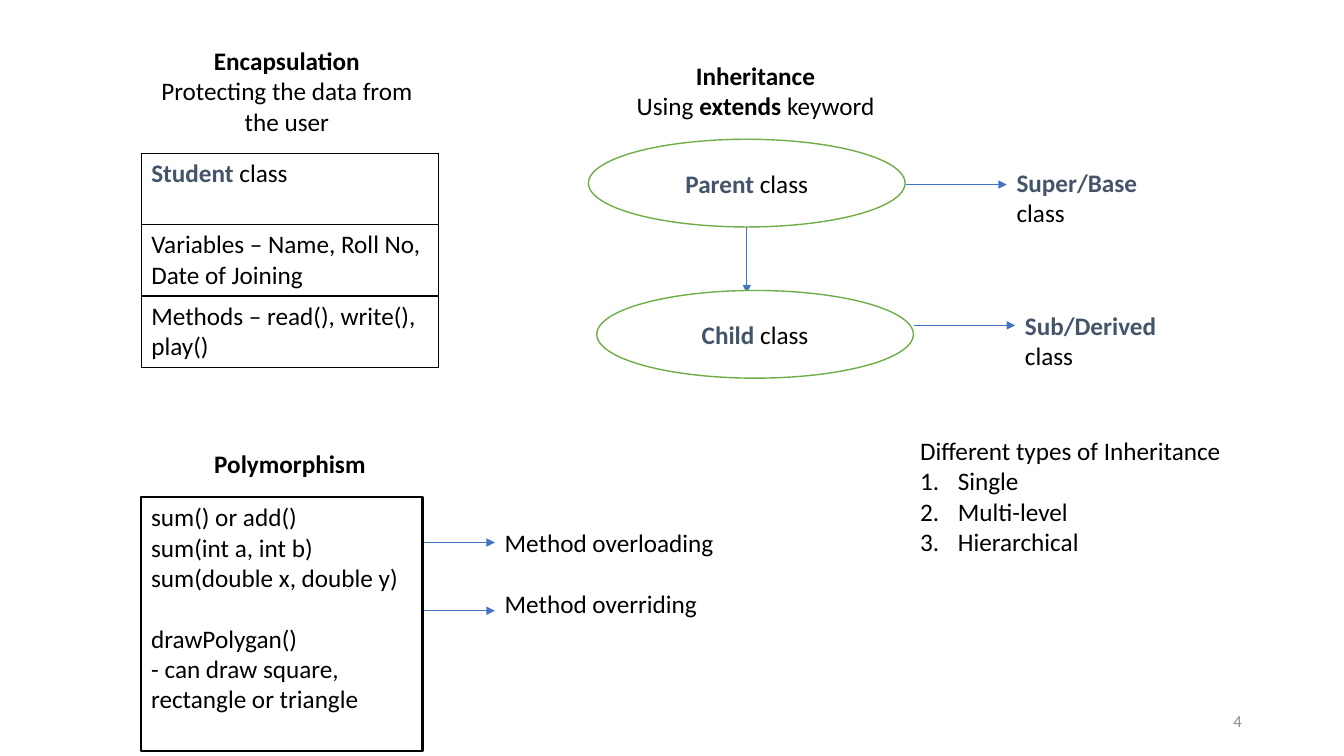
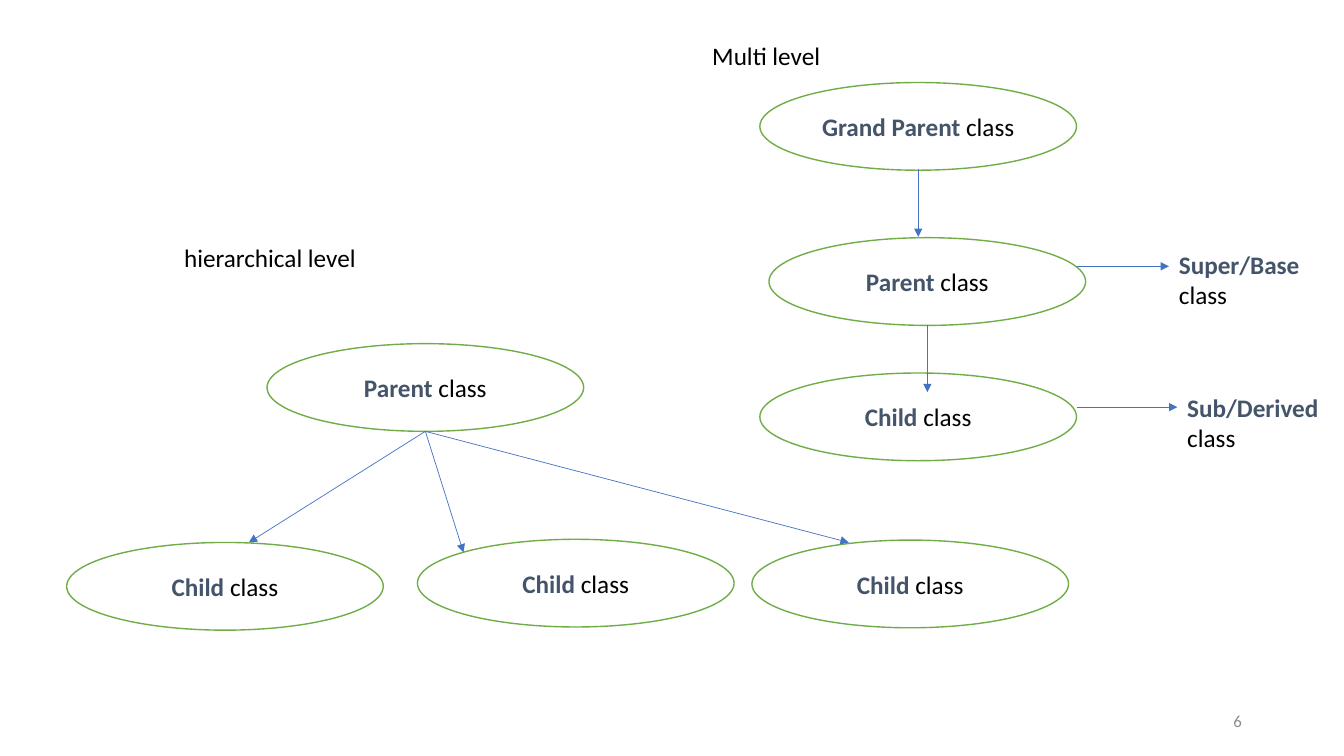
from lxml import etree
from pptx import Presentation
from pptx.dml.color import RGBColor
from pptx.enum.shapes import MSO_CONNECTOR, MSO_SHAPE
from pptx.enum.text import MSO_ANCHOR, PP_ALIGN
from pptx.oxml.ns import qn
from pptx.util import Cm, Pt

BLACK = RGBColor(0x00, 0x00, 0x00)
WHITE = RGBColor(0xFF, 0xFF, 0xFF)
SLATE = RGBColor(0x44, 0x54, 0x6A)
GREEN = RGBColor(0x70, 0xAD, 0x47)
BLUE = RGBColor(0x44, 0x72, 0xC4)
GRAY = RGBColor(0x8C, 0x8C, 0x8C)

STRAIGHT = MSO_CONNECTOR.STRAIGHT
OVAL = MSO_SHAPE.OVAL
RECTANGLE = MSO_SHAPE.RECTANGLE
LEFT, CENTER, RIGHT = PP_ALIGN.LEFT, PP_ALIGN.CENTER, PP_ALIGN.RIGHT
TOP, MIDDLE = MSO_ANCHOR.TOP, MSO_ANCHOR.MIDDLE

FONT = "Calibri"
BODY_SIZE = 18
NUMBER_SIZE = 12
LINE_GAP = Pt(22)
LIST_INDENT = Cm(0.95)
OVAL_WIDTH, OVAL_HEIGHT = 7.98, 2.21
NUMBER_BOX = (23.93, 17.65, 7.62, 1.02)
ROW_HEIGHT = 1.8
TABLE_PLACE = (3.56, 3.86, 7.49)
METHOD_BOX = (3.56, 12.52, 7.09, 6.4)


def plain(text):
    return [(text, False, BLACK)]


def bold(text):
    return [(text, True, BLACK)]


def class_name(name):
    return [(name, True, SLATE), (" class", False, BLACK)]


STUDENT_ROWS = [
    class_name("Student"),
    plain("Variables – Name, Roll No, Date of Joining"),
    plain("Methods – read(), write(), play()"),
]
METHODS = [
    plain("sum() or add()"),
    plain("sum(int a, int b)"),
    plain("sum(double x, double y)"),
    plain("drawPolygan()"),
    plain("- can draw square, rectangle or triangle"),
]
INHERITANCE_TYPES = [
    plain("Different types of Inheritance"),
    plain("Single"),
    plain("Multi-level"),
    plain("Hierarchical"),
]
ENCAPSULATION = [bold("Encapsulation"), plain("Protecting the data from the user")]
INHERITANCE = [
    bold("Inheritance"),
    plain("Using ") + bold("extends ") + plain("keyword"),
]
POLYMORPHISM = [bold("Polymorphism ")]
METHOD_KINDS = [plain("Method overloading"), plain("Method overriding")]

OVERVIEW_DIAGRAM = [
    ("oval", 14.83, 3.51, "Parent"),
    ("arrow", 18.82, 5.72, 18.82, 7.39),
    ("oval", 15.04, 7.32, "Child"),
    ("arrow", 22.83, 4.65, 25.37, 4.65),
    ("role", 25.37, 4.09, 3.63, "Super/Base"),
    ("role", 25.58, 7.7, 4.19, "Sub/Derived"),
    ("arrow", 23.04, 8.2, 25.58, 8.2),
    ("arrow", 10.64, 13.67, 12.47, 13.67),
    ("arrow", 10.64, 15.39, 12.47, 15.39),
]
LEVELS_DIAGRAM = [
    ("caption", 17.7, 0.89, "Multi level"),
    ("oval", 19.15, 2.08, "Grand Parent"),
    ("arrow", 23.14, 4.27, 23.14, 5.97),
    ("oval", 19.15, 9.4, "Child"),
    ("arrow", 26.92, 6.71, 29.46, 6.71),
    ("role", 29.46, 6.15, 3.63, "Super/Base"),
    ("role", 29.67, 9.75, 4.19, "Sub/Derived"),
    ("arrow", 27.13, 10.26, 29.67, 10.26),
    ("oval", 19.38, 5.99, "Parent"),
    ("arrow", 23.37, 8.2, 23.37, 9.88),
    ("caption", 4.39, 5.99, "hierarchical level"),
    ("oval", 6.73, 8.66, "Parent"),
    ("oval", 1.68, 13.67, "Child"),
    ("oval", 10.52, 13.59, "Child"),
    ("oval", 18.95, 13.61, "Child"),
    ("arrow", 10.72, 10.87, 6.27, 13.67),
    ("arrow", 10.72, 10.87, 11.68, 13.92),
    ("arrow", 10.72, 10.87, 21.39, 13.67),
]


def lengths(*values):
    return [Cm(value) for value in values]


def write_text(frame, paragraphs, align=LEFT, anchor=TOP, size=BODY_SIZE, gap_before=None):
    frame.word_wrap = True
    frame.vertical_anchor = anchor
    for index, runs in enumerate(paragraphs):
        paragraph = frame.paragraphs[0] if index == 0 else frame.add_paragraph()
        paragraph.alignment = align
        if index == gap_before:
            paragraph.space_before = LINE_GAP
        for text, is_bold, color in runs:
            run = paragraph.add_run()
            run.text = text
            run.font.name = FONT
            run.font.size = Pt(size)
            run.font.bold = is_bold
            run.font.color.rgb = color


def add_text(slide, box, paragraphs, **style):
    shape = slide.shapes.add_textbox(*lengths(*box))
    write_text(shape.text_frame, paragraphs, **style)
    return shape


def add_outlined(slide, kind, box, color, width):
    shape = slide.shapes.add_shape(kind, *lengths(*box))
    shape.shadow.inherit = False
    shape.line.color.rgb = color
    shape.line.width = Pt(width)
    return shape


def add_oval(slide, left, top, name):
    shape = add_outlined(slide, OVAL, (left, top, OVAL_WIDTH, OVAL_HEIGHT), GREEN, 1)
    shape.fill.solid()
    shape.fill.fore_color.rgb = WHITE
    write_text(shape.text_frame, [class_name(name)], align=CENTER, anchor=MIDDLE)


def add_arrow(slide, *ends):
    connector = slide.shapes.add_connector(STRAIGHT, *lengths(*ends))
    connector.line.color.rgb = BLUE
    connector.line.width = Pt(0.5)
    line = connector.line._get_or_add_ln()
    etree.SubElement(line, qn("a:tailEnd"), type="triangle")
    etree.SubElement(connector._element.spPr, qn("a:effectLst"))


def add_role(slide, left, top, width, name):
    add_text(slide, (left, top, width, 1.8), [class_name(name)])


def add_caption(slide, left, top, text):
    add_text(slide, (left, top, 10.87, 1.02), [plain(text)])


DRAWERS = {"oval": add_oval, "arrow": add_arrow, "role": add_role, "caption": add_caption}


def add_diagram(slide, parts):
    for kind, *details in parts:
        DRAWERS[kind](slide, *details)


def set_borders(cell):
    properties = cell._tc.get_or_add_tcPr()
    for position, side in enumerate(("lnL", "lnR", "lnT", "lnB")):
        border = etree.Element(qn(f"a:{side}"), w=str(Pt(1)))
        fill = etree.SubElement(border, qn("a:solidFill"))
        etree.SubElement(fill, qn("a:srgbClr"), val=str(BLACK))
        properties.insert(position, border)


def add_student_table(slide):
    height = ROW_HEIGHT * len(STUDENT_ROWS)
    frame = slide.shapes.add_table(len(STUDENT_ROWS), 1, *lengths(*TABLE_PLACE, height))
    table = frame.table
    table.first_row = False
    table.horz_banding = False
    for index, runs in enumerate(STUDENT_ROWS):
        table.rows[index].height = Cm(ROW_HEIGHT)
        cell = table.cell(index, 0)
        cell.fill.solid()
        cell.fill.fore_color.rgb = WHITE
        set_borders(cell)
        write_text(cell.text_frame, [runs])


def number_paragraphs(paragraphs):
    for paragraph in paragraphs:
        properties = paragraph._p.get_or_add_pPr()
        properties.set("marL", str(LIST_INDENT))
        properties.set("indent", str(-LIST_INDENT))
        etree.SubElement(properties, qn("a:buFont"), typeface="+mj-lt")
        etree.SubElement(properties, qn("a:buAutoNum"), type="arabicPeriod")


def add_numbered_slide(presentation, number):
    slide = presentation.slides.add_slide(presentation.slide_layouts[6])
    add_text(slide, NUMBER_BOX, [[(number, False, GRAY)]],
             align=RIGHT, anchor=MIDDLE, size=NUMBER_SIZE)
    return slide


def build_overview(presentation):
    slide = add_numbered_slide(presentation, "4")
    add_student_table(slide)
    add_diagram(slide, OVERVIEW_DIAGRAM)
    add_text(slide, (3.56, 1.02, 7.34, 2.57), ENCAPSULATION, align=CENTER)
    add_text(slide, (15.37, 1.4, 7.34, 1.8), INHERITANCE, align=CENTER)
    add_text(slide, (3.71, 11.18, 7.34, 1.02), POLYMORPHISM, align=CENTER)
    add_text(slide, (12.47, 13.16, 7.09, 2.57), METHOD_KINDS, gap_before=1)
    types = add_text(slide, (22.94, 10.85, 9.96, 3.33), INHERITANCE_TYPES)
    number_paragraphs(types.text_frame.paragraphs[1:])
    methods = add_outlined(slide, RECTANGLE, METHOD_BOX, BLACK, 1.5)
    methods.fill.background()
    write_text(methods.text_frame, METHODS, gap_before=3)


def build_levels(presentation):
    slide = add_numbered_slide(presentation, "6")
    add_diagram(slide, LEVELS_DIAGRAM)


def main():
    presentation = Presentation()
    presentation.slide_width = Cm(33.87)
    presentation.slide_height = Cm(19.05)
    build_overview(presentation)
    build_levels(presentation)
    presentation.save("out.pptx")


if __name__ == "__main__":
    main()
